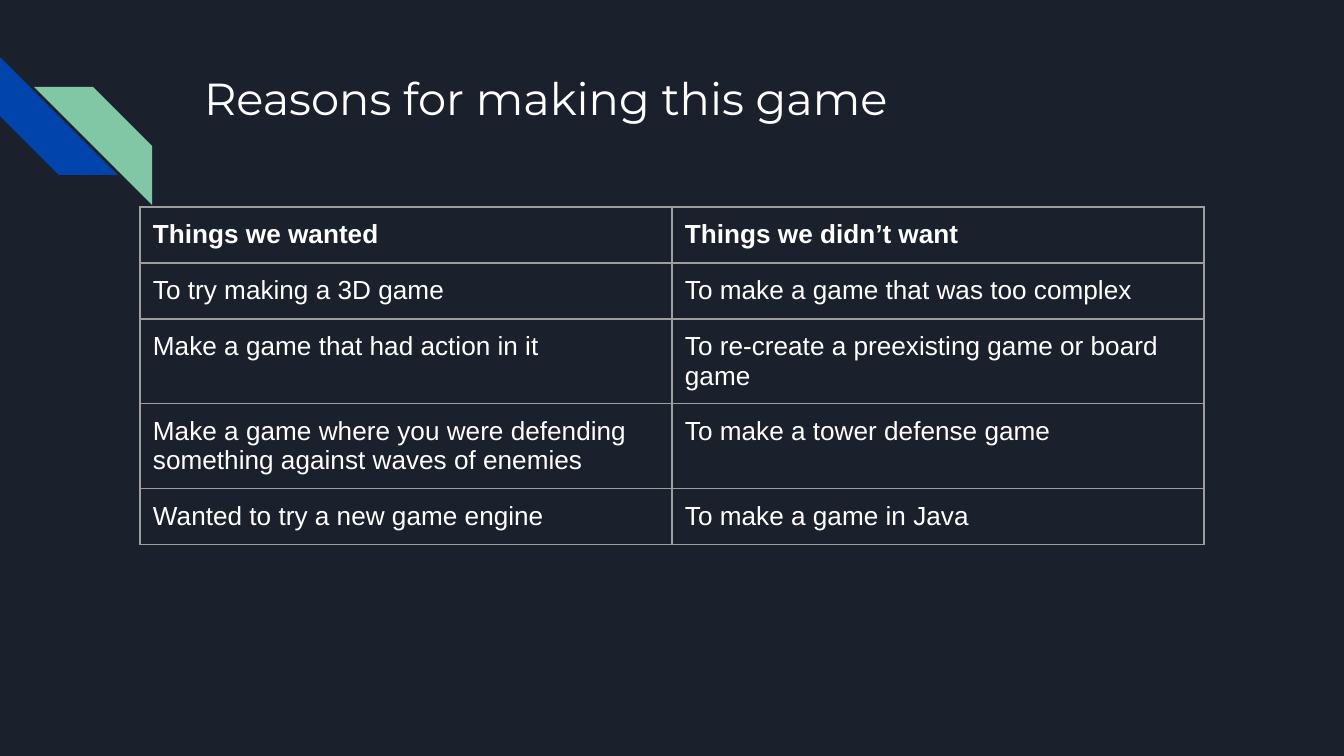
import dataclasses

import lxml.etree
import pptx
import pptx.dml.color
import pptx.enum.shapes
import pptx.enum.text
import pptx.oxml.ns
import pptx.util

EMU_PER_PX = 914400 / 134.4


@dataclasses.dataclass(frozen=True)
class Theme:
    background: str = "1B212C"
    text: str = "FFFFFF"
    blue: str = "0145AC"
    green: str = "82C7A5"
    border: str = "9E9E9E"
    border_width: float = 0.75
    title_font: str = "Montserrat"
    title_size: int = 24
    body_font: str = "Arial"
    body_size: int = 14
    inset: int = 13


def px(length):
    return pptx.util.Emu(round(length * EMU_PER_PX))


def rgb(value):
    return pptx.dml.color.RGBColor.from_string(value)


def write_text(frame, text, *, font, size, color, bold=False):
    paragraph = frame.paragraphs[0]
    paragraph.alignment = pptx.enum.text.PP_ALIGN.LEFT
    run = paragraph.add_run()
    run.text = text
    run.font.name = font
    run.font.size = pptx.util.Pt(size)
    run.font.bold = bold
    run.font.color.rgb = rgb(color)


class SlideBuilder:
    """Draws styled elements on the current slide."""

    def __init__(self, presentation, theme):
        self.theme = theme
        self.slide = presentation.slides.add_slide(presentation.slide_layouts[5])
        fill = self.slide.background.fill
        fill.solid()
        fill.fore_color.rgb = rgb(theme.background)

    def set_insets(self, target):
        for side in ("left", "top", "right", "bottom"):
            setattr(target, f"margin_{side}", px(self.theme.inset))

    def stripe(self, left, top, size, color, rotation):
        shape = self.slide.shapes.add_shape(
            pptx.enum.shapes.MSO_SHAPE.DIAGONAL_STRIPE,
            px(left), px(top), px(size), px(size))
        shape.rotation = rotation
        shape.shadow.inherit = False
        shape.fill.solid()
        shape.fill.fore_color.rgb = rgb(color)
        shape.line.fill.background()

    def title(self, text, left, top, width, height):
        title = self.slide.shapes.title
        title.left, title.top = px(left), px(top)
        title.width, title.height = px(width), px(height)
        frame = title.text_frame
        frame.word_wrap = True
        frame.auto_size = pptx.enum.text.MSO_AUTO_SIZE.NONE
        frame.vertical_anchor = pptx.enum.text.MSO_ANCHOR.TOP
        self.set_insets(frame)
        write_text(frame, text, font=self.theme.title_font,
                   size=self.theme.title_size, color=self.theme.text)

    def cell_borders(self, cell):
        properties = cell._tc.get_or_add_tcPr()
        for index, side in enumerate(("lnL", "lnR", "lnT", "lnB")):
            line = lxml.etree.Element(
                pptx.oxml.ns.qn(f"a:{side}"),
                w=str(pptx.util.Pt(self.theme.border_width)))
            fill = lxml.etree.SubElement(line, pptx.oxml.ns.qn("a:solidFill"))
            lxml.etree.SubElement(
                fill, pptx.oxml.ns.qn("a:srgbClr"), val=self.theme.border)
            properties.insert(index, line)

    def table(self, rows, left, top, column_width, row_height):
        column_count = len(rows[0])
        table = self.slide.shapes.add_table(
            len(rows), column_count, px(left), px(top),
            px(column_width * column_count), px(row_height * len(rows))).table
        table.horz_banding = False
        for row_index, row in enumerate(rows):
            for column_index, text in enumerate(row):
                cell = table.cell(row_index, column_index)
                cell.fill.background()
                self.set_insets(cell)
                self.cell_borders(cell)
                write_text(cell.text_frame, text, font=self.theme.body_font,
                           size=self.theme.body_size, color=self.theme.text,
                           bold=row_index == 0)


def main():
    presentation = pptx.Presentation()
    presentation.slide_width = px(1344)
    presentation.slide_height = px(756)
    theme = Theme()
    builder = SlideBuilder(presentation, theme)
    builder.stripe(0, 57, 118, theme.blue, rotation=270)
    builder.stripe(34, 87, 118, theme.green, rotation=90)
    builder.title("Reasons for making this game", 191, 58, 1035, 134)
    builder.table([
        ("Things we wanted", "Things we didn’t want"),
        ("To try making a 3D game", "To make a game that was too complex"),
        ("Make a game that had action in it",
         "To re-create a preexisting game or board game"),
        ("Make a game where you were defending something against waves of enemies",
         "To make a tower defense game"),
        ("Wanted to try a new game engine", "To make a game in Java"),
    ], 140, 207, column_width=532, row_height=56)
    presentation.save("out.pptx")


if __name__ == "__main__":
    main()
